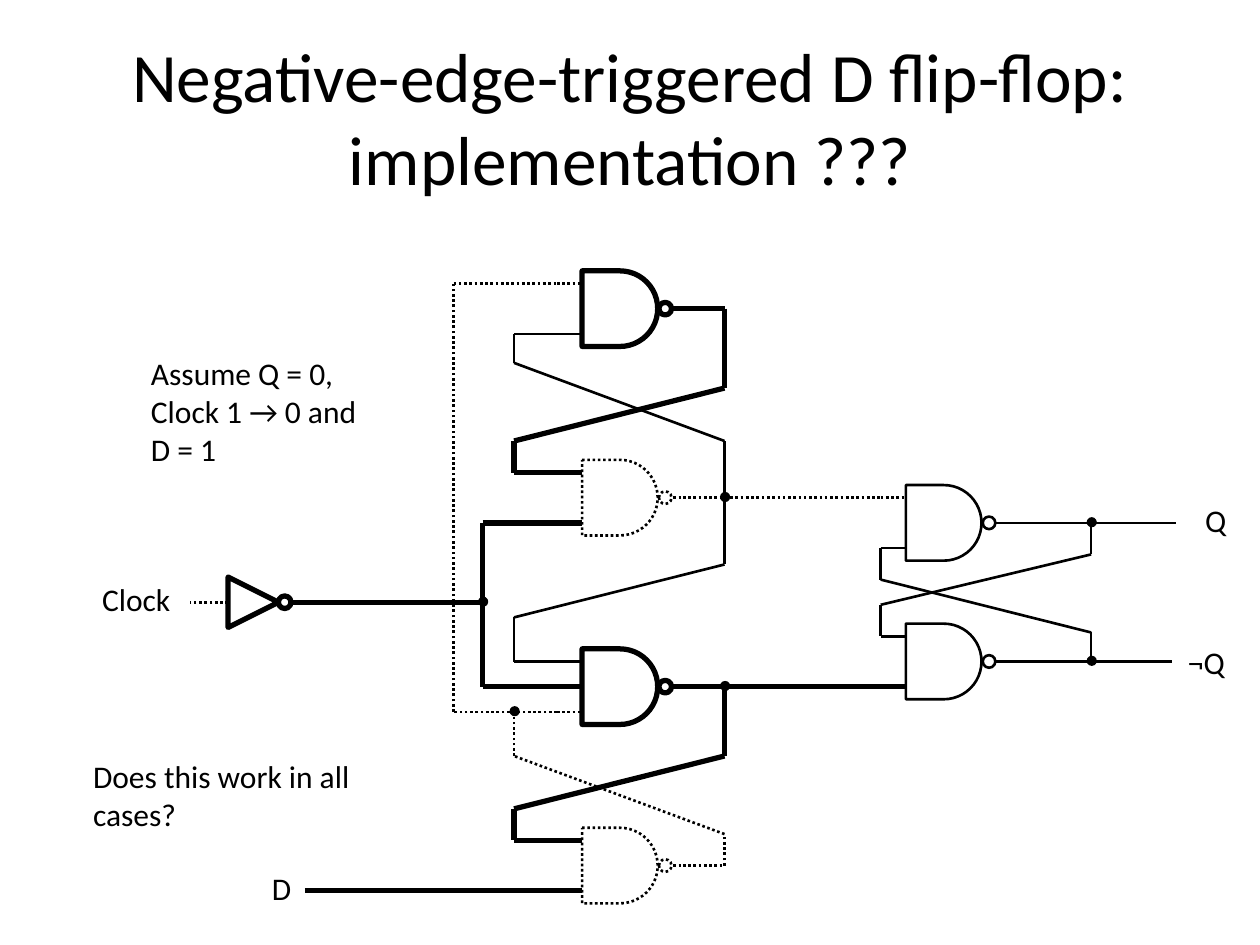
from dataclasses import dataclass
from itertools import pairwise
from lxml.etree import SubElement
from pptx import Presentation
from pptx.dml.color import RGBColor
from pptx.enum.dml import MSO_LINE
from pptx.enum.shapes import MSO_CONNECTOR, MSO_SHAPE
from pptx.enum.text import MSO_ANCHOR, PP_ALIGN
from pptx.oxml.ns import qn
from pptx.util import Inches, Pt

BLACK, WHITE = "000000", "FFFFFF"


@dataclass(frozen=True)
class Stroke:
    width: float
    dotted: bool = False


ONE = Stroke(3)
ZERO = Stroke(1.5, dotted=True)
PLAIN = Stroke(1.5)
DOT_EDGE = Stroke(0.75)


@dataclass(frozen=True)
class Gate:
    left: float
    top: float
    output: Stroke
    inputs: dict[float, Stroke]


@dataclass(frozen=True)
class Wire:
    stroke: Stroke
    points: list[tuple[float, float]]


@dataclass(frozen=True)
class Label:
    text: str
    left: float
    top: float
    width: float
    height: float
    align: PP_ALIGN = PP_ALIGN.LEFT
    anchor: MSO_ANCHOR = MSO_ANCHOR.MIDDLE
    size: float = 18
    wrap: bool = True


def color(value: str) -> RGBColor:
    return RGBColor.from_string(value)


def style_line(line, stroke: Stroke) -> None:
    line.color.rgb = color(BLACK)
    line.width = Pt(stroke.width)
    if stroke.dotted:
        line.dash_style = MSO_LINE.ROUND_DOT


def add_outline(shapes, kind, left: float, top: float, size: float,
                stroke: Stroke, fill: str | None = None):
    shape = shapes.add_shape(kind, Inches(left), Inches(top), Inches(size), Inches(size))
    shape.shadow.inherit = False
    if fill:
        shape.fill.solid()
        shape.fill.fore_color.rgb = color(fill)
    else:
        shape.fill.background()
    style_line(shape.line, stroke)
    return shape


def add_wire(shapes, wire: Wire) -> None:
    for (x1, y1), (x2, y2) in pairwise(wire.points):
        line = shapes.add_connector(MSO_CONNECTOR.STRAIGHT, Inches(x1), Inches(y1),
                                    Inches(x2), Inches(y2))
        style_line(line.line, wire.stroke)
        SubElement(line._element.spPr, qn("a:effectLst"))


def add_gate(page, gate: Gate) -> None:
    shapes = page.shapes.add_group_shape().shapes
    left, top, middle = gate.left, gate.top, gate.top + 0.3
    add_outline(shapes, MSO_SHAPE.FLOWCHART_DELAY, left, top, 0.6, gate.output)
    add_wire(shapes, Wire(gate.output, [(left + 0.6, middle), (left + 0.8, middle)]))
    for offset, stroke in gate.inputs.items():
        y = top + offset
        add_wire(shapes, Wire(stroke, [(left - 0.2, y), (left, y)]))
    add_outline(shapes, MSO_SHAPE.OVAL, left + 0.61, middle - 0.05, 0.1, gate.output, WHITE)


def add_inverter(page, left: float, middle: float) -> None:
    shapes = page.shapes.add_group_shape().shapes
    add_outline(shapes, MSO_SHAPE.ISOSCELES_TRIANGLE, left, middle - 0.2, 0.4, ONE).rotation = 90
    add_wire(shapes, Wire(ONE, [(left + 0.4, middle), (left + 0.7, middle)]))
    add_wire(shapes, Wire(ZERO, [(left, middle), (left - 0.3, middle)]))
    add_outline(shapes, MSO_SHAPE.OVAL, left + 0.4, middle - 0.05, 0.1, ONE, WHITE)


def add_label(page, label: Label) -> None:
    box = page.shapes.add_textbox(Inches(label.left), Inches(label.top),
                                  Inches(label.width), Inches(label.height))
    frame = box.text_frame
    frame.word_wrap = label.wrap
    frame.vertical_anchor = label.anchor
    frame.text = label.text
    for para in frame.paragraphs:
        para.alignment = label.align
        for span in para.runs:
            span.font.name = "Calibri"
            span.font.size = Pt(label.size)
            span.font.color.rgb = color(BLACK)


# Columns shared by the wires
FEEDBACK, CLOCK, IN, LEAD, OUT = 3.6, 3.83, 4.08, 4.42, 5.75
LATCH_IN, LATCH_OUT = 6.99, 8.66

GATES = [
    Gate(4.62, 2.15, ONE, {0.1: ZERO, 0.5: PLAIN}),
    Gate(4.62, 3.65, ZERO, {0.1: ONE, 0.5: ONE}),
    Gate(4.62, 5.15, ONE, {0.1: PLAIN, 0.3: ONE, 0.5: ZERO}),
    Gate(4.62, 6.57, ZERO, {0.1: ONE, 0.5: ONE}),
    Gate(7.19, 3.85, PLAIN, {0.1: ZERO, 0.5: PLAIN}),
    Gate(7.19, 4.95, PLAIN, {0.1: PLAIN, 0.5: ONE}),
]

WIRES = [
    # Data input and lower pair
    Wire(ONE, [(2.42, 7.07), (LEAD, 7.07)]),
    Wire(ONE, [(OUT, 5.45), (OUT, 6), (IN, 6.42), (IN, 6.67), (LEAD, 6.67)]),
    Wire(ONE, [(5.42, 5.45), (LATCH_IN, 5.45)]),
    Wire(ZERO, [(5.42, 6.87), (OUT, 6.87), (OUT, 6.62), (IN, 6), (IN, 5.65)]),
    Wire(ZERO, [(LEAD, 5.65), (FEEDBACK, 5.65), (FEEDBACK, 2.25), (LEAD, 2.25)]),
    # Clock distribution
    Wire(ONE, [(2.42, 4.78), (CLOCK, 4.78)]),
    Wire(ONE, [(LEAD, 5.45), (CLOCK, 5.45), (CLOCK, 4.15), (LEAD, 4.15)]),
    # Upper pair
    Wire(ONE, [(5.42, 2.45), (OUT, 2.45), (OUT, 3.08), (IN, 3.5), (IN, 3.75), (LEAD, 3.75)]),
    Wire(PLAIN, [(LEAD, 2.65), (IN, 2.65), (IN, 2.88), (OUT, 3.5), (OUT, 4.48),
                 (IN, 4.9), (IN, 5.25), (LEAD, 5.25)]),
    Wire(ZERO, [(5.42, 3.95), (LATCH_IN, 3.95)]),
    # Output latch
    Wire(PLAIN, [(LATCH_OUT, 4.15), (LATCH_OUT, 4.4), (LATCH_IN, 4.8), (LATCH_IN, 5.05)]),
    Wire(PLAIN, [(LATCH_OUT, 5.25), (LATCH_OUT, 5.02), (LATCH_IN, 4.6), (LATCH_IN, 4.35)]),
    Wire(PLAIN, [(7.99, 4.15), (LATCH_OUT, 4.15), (9.33, 4.15)]),
    Wire(PLAIN, [(7.99, 5.25), (LATCH_OUT, 5.25), (9.3, 5.25)]),
]

JUNCTIONS = [(CLOCK, 4.78), (IN, 5.65), (OUT, 5.45), (OUT, 3.95),
             (LATCH_OUT, 4.15), (LATCH_OUT, 5.25)]

LABELS = [
    Label("Negative-edge-triggered D flip-flop: implementation ???", 0.5, 0.3, 9, 1.25,
          PP_ALIGN.CENTER, size=39.6),
    Label("D", 1.97, 6.8, 0.44, 0.5, PP_ALIGN.RIGHT),
    Label("Clock", 0.17, 4.5, 1.28, 0.5, PP_ALIGN.RIGHT),
    Label("Q", 9.39, 3.88, 0.44, 0.5, PP_ALIGN.RIGHT),
    Label("¬Q", 9.33, 5, 0.5, 0.5),
    Label("Assume Q = 0,\nClock 1 → 0 and\nD = 1", 1.1, 2.76, 1.87, 1.01,
          anchor=MSO_ANCHOR.TOP, wrap=False),
    Label("Does this work in all cases?", 0.64, 5.96, 2.94, 0.71, anchor=MSO_ANCHOR.TOP),
]

deck = Presentation()
deck.slide_width, deck.slide_height = Inches(10), Inches(7.5)
page = deck.slides.add_slide(deck.slide_layouts[6])

for gate in GATES:
    add_gate(page, gate)
add_inverter(page, 1.81, 4.78)
for wire in WIRES:
    add_wire(page.shapes, wire)
for x, y in JUNCTIONS:
    add_outline(page.shapes, MSO_SHAPE.OVAL, x - 0.03, y - 0.04, 0.07, DOT_EDGE, BLACK)
for label in LABELS:
    add_label(page, label)

deck.save("out.pptx")
